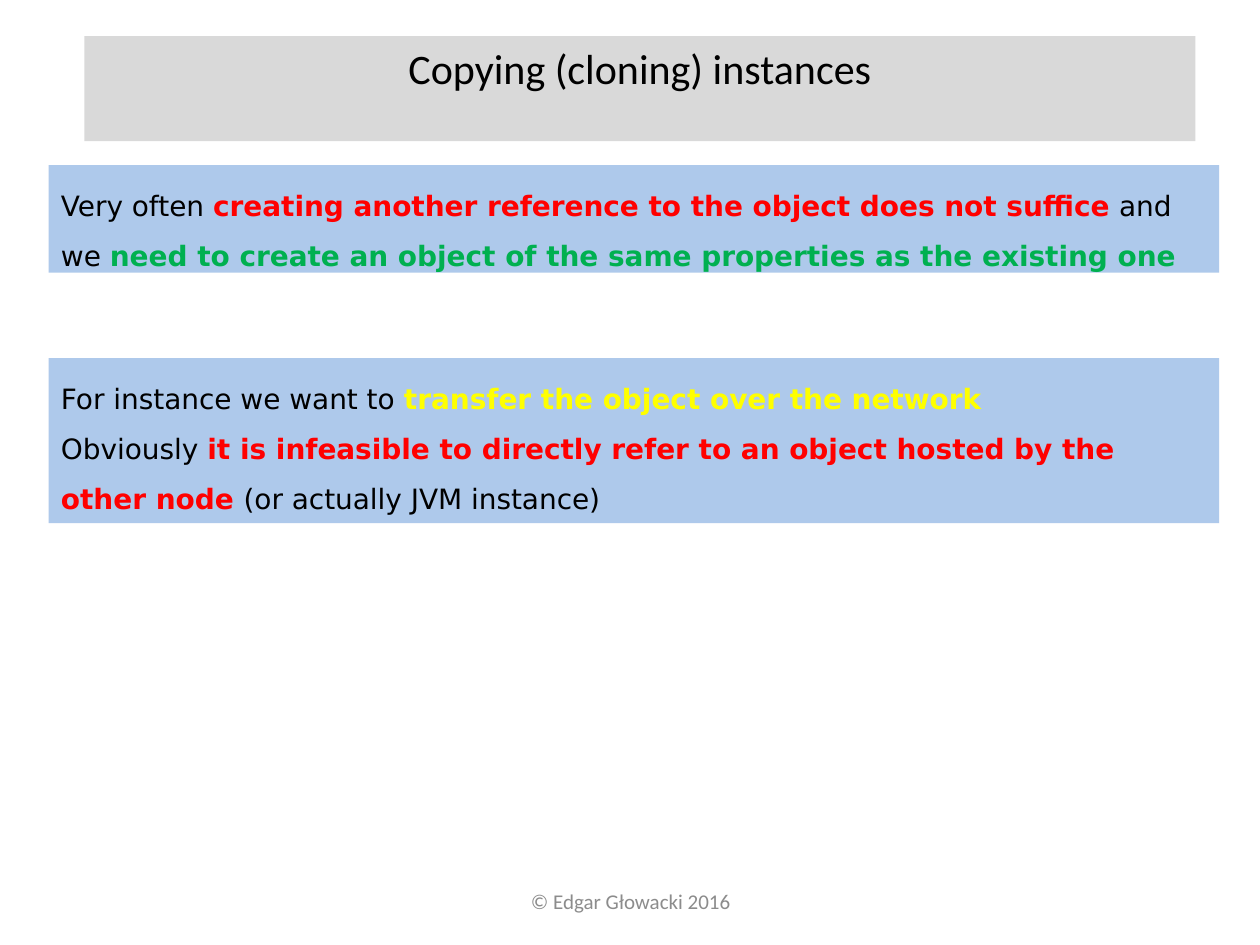
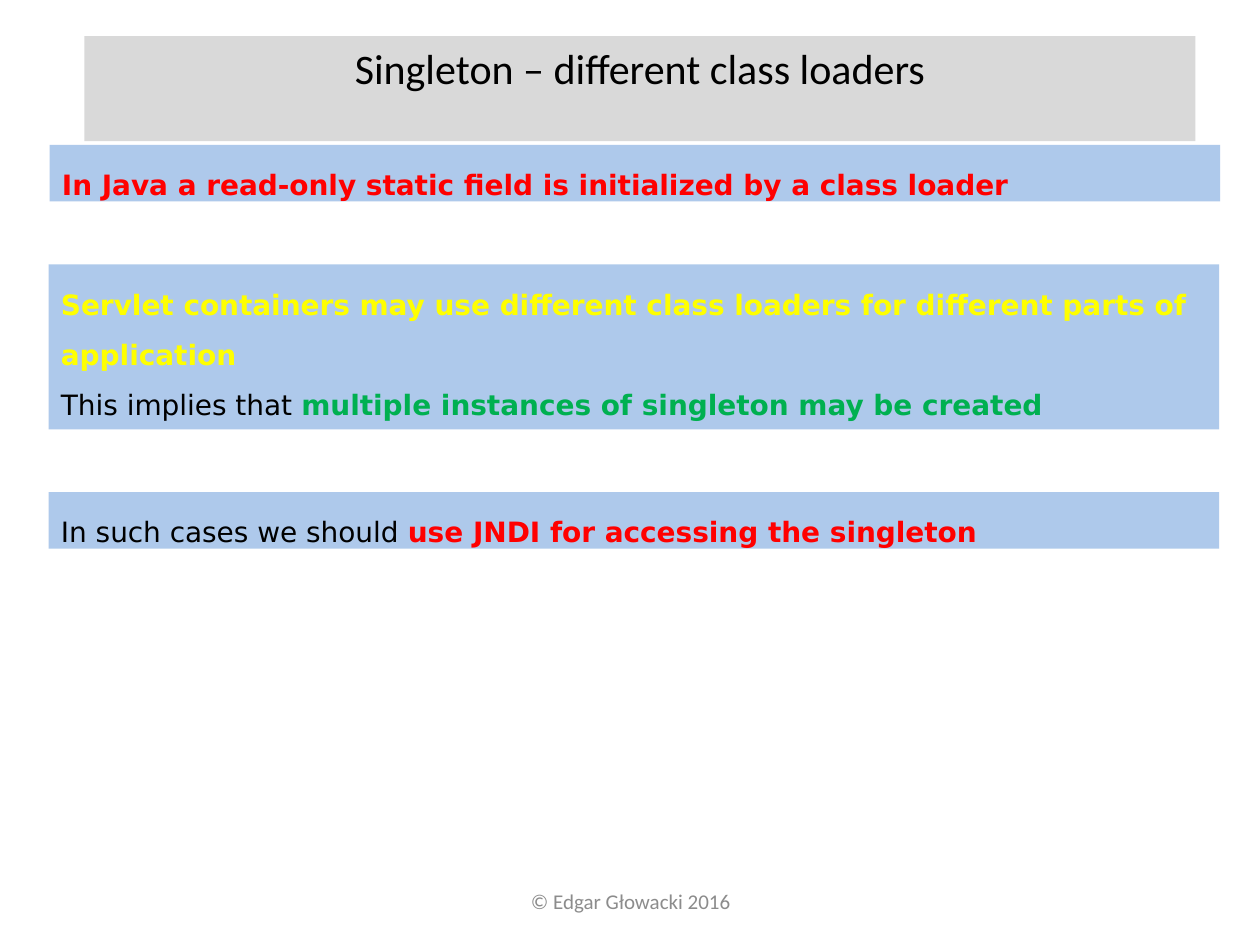
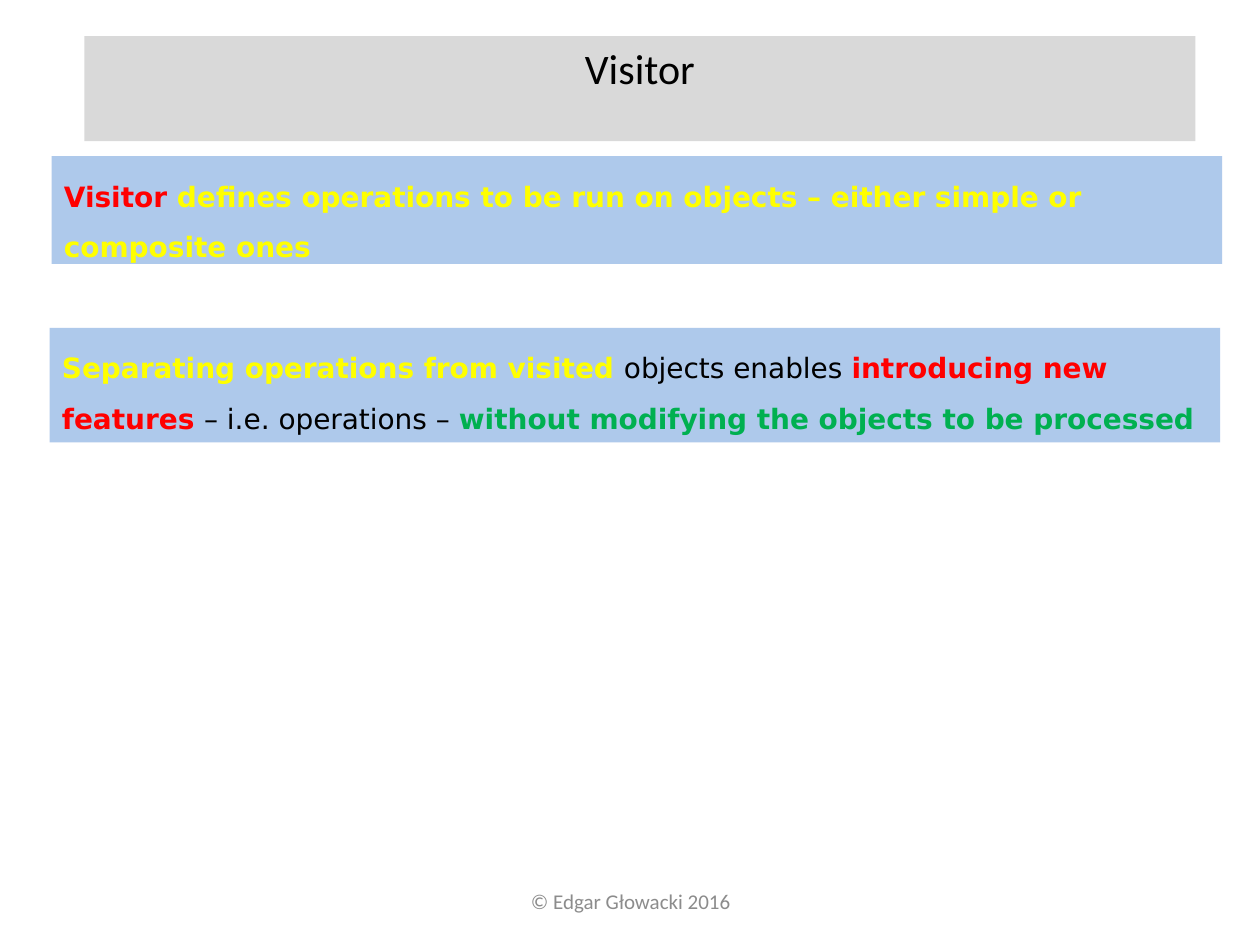
from lxml import etree
from pptx import Presentation
from pptx.dml.color import RGBColor
from pptx.enum.text import MSO_ANCHOR, MSO_AUTO_SIZE, PP_ALIGN
from pptx.oxml.ns import qn
from pptx.util import Cm, Pt

TOP, MIDDLE = MSO_ANCHOR.TOP, MSO_ANCHOR.MIDDLE
GROW = MSO_AUTO_SIZE.SHAPE_TO_FIT_TEXT
CENTER = PP_ALIGN.CENTER

BLACK = RGBColor(0x00, 0x00, 0x00)
RED = RGBColor(0xFF, 0x00, 0x00)
GREEN = RGBColor(0x00, 0xB0, 0x50)
YELLOW = RGBColor(0xFF, 0xFF, 0x00)
GRAY = RGBColor(0xD9, 0xD9, 0xD9)
DIM = RGBColor(0x8C, 0x8C, 0x8C)
BLUE = RGBColor(0x8E, 0xB4, 0xE3)

HEAD_FONT, TEXT_FONT = "Calibri", "DejaVu Sans"
HEAD_BOX = (1.7, 0.73, 22.4, 1.28)
FOOT_BOX = (8.69, 17.65, 8.05, 1.02)
PANEL_WIDTH = 23.6
FOOTER = "© Edgar Głowacki 2016"

SLIDES = [
    ("Copying (cloning) instances", [
        (0.98, 3.33, 2.17, [
            [("Very often ", BLACK),
             ("creating another reference to the object does not suffice", RED),
             (" and we ", BLACK),
             ("need to create an object of the same properties as the existing one", GREEN)],
        ]),
        (0.98, 7.22, 3.33, [
            [("For instance we want to ", BLACK),
             ("transfer the object over the network", YELLOW)],
            [("Obviously ", BLACK),
             ("it is infeasible to directly refer to an object hosted by the other node ", RED),
             ("(or actually JVM instance)", BLACK)],
        ]),
    ]),
    ("Singleton – different class loaders", [
        (1.0, 2.92, 1.14, [
            [("In Java a read-only static field is initialized by a class loader", RED)],
        ]),
        (0.98, 5.33, 3.33, [
            [("Servlet containers may use different class loaders "
              "for different parts of application", YELLOW)],
            [("This implies that ", BLACK),
             ("multiple instances of singleton may be created", GREEN)],
        ]),
        (0.98, 9.92, 1.14, [
            [("In such cases we should ", BLACK),
             ("use JNDI for accessing the singleton", RED)],
        ]),
    ]),
    ("Visitor", [
        (1.04, 3.15, 2.17, [
            [("Visitor ", RED),
             ("defines operations to be run on objects – either simple or composite ones", YELLOW)],
        ]),
        (1.0, 6.61, 2.31, [
            [("Separating operations from visited ", YELLOW),
             ("objects enables ", BLACK),
             ("introducing new features ", RED),
             ("– i.e. operations – ", BLACK),
             ("without modifying the objects to be processed", GREEN)],
        ]),
    ]),
]


def style(font, name, size, color, bold=False):
    """Set the face, size, colour and weight of a font."""
    font.name, font.size, font.bold = name, Pt(size), bold
    font.color.rgb = color


def paint(shape, color):
    """Fill a shape with one colour."""
    shape.fill.solid()
    shape.fill.fore_color.rgb = color


def label(shape, text, size, color, anchor):
    """Write one centred line in the heading font."""
    frame = shape.text_frame
    frame.text = text
    frame.word_wrap = True
    frame.vertical_anchor = anchor
    para = frame.paragraphs[0]
    para.alignment = CENTER
    style(para.runs[0].font, HEAD_FONT, size, color)


def add_title(slide, box, text):
    """Place the title on its grey band."""
    title = slide.shapes.title
    title.left, title.top, title.width, title.height = map(Cm, box)
    paint(title, GRAY)
    label(title, text, 24, BLACK, TOP)
    title.text_frame.auto_size = GROW


def add_footer(slide, box):
    """Place the copyright line."""
    label(slide.shapes.add_textbox(*map(Cm, box)), FOOTER, 12, DIM, MIDDLE)


def add_panel(slide, box, paras):
    """Place a pale blue panel whose coloured words are bold."""
    panel = slide.shapes.add_textbox(*map(Cm, box))
    paint(panel, BLUE)
    tint = panel.element.spPr.xpath("a:solidFill/a:srgbClr")[0]
    etree.SubElement(tint, qn("a:alpha")).set("val", "71000")
    frame = panel.text_frame
    frame.word_wrap = True
    frame.auto_size = GROW
    for i, parts in enumerate(paras):
        para = frame.add_paragraph() if i else frame.paragraphs[0]
        para.line_spacing = 1.5
        for text, color in parts:
            run = para.add_run()
            run.text = text
            style(run.font, TEXT_FONT, 16, color, color != BLACK)


def add_slide(deck, title, panels):
    """Add a slide with a title, panels and a footer."""
    slide = deck.slides.add_slide(deck.slide_layouts.get_by_name("Title Only"))
    add_footer(slide, FOOT_BOX)
    add_title(slide, HEAD_BOX, title)
    for left, top, height, paras in panels:
        add_panel(slide, (left, top, PANEL_WIDTH, height), paras)


def main():
    """Build the deck and save it."""
    deck = Presentation()
    deck.slide_width, deck.slide_height = Cm(25.4), Cm(19.05)
    for title, panels in SLIDES:
        add_slide(deck, title, panels)
    deck.save("out.pptx")


if __name__ == "__main__":
    main()
